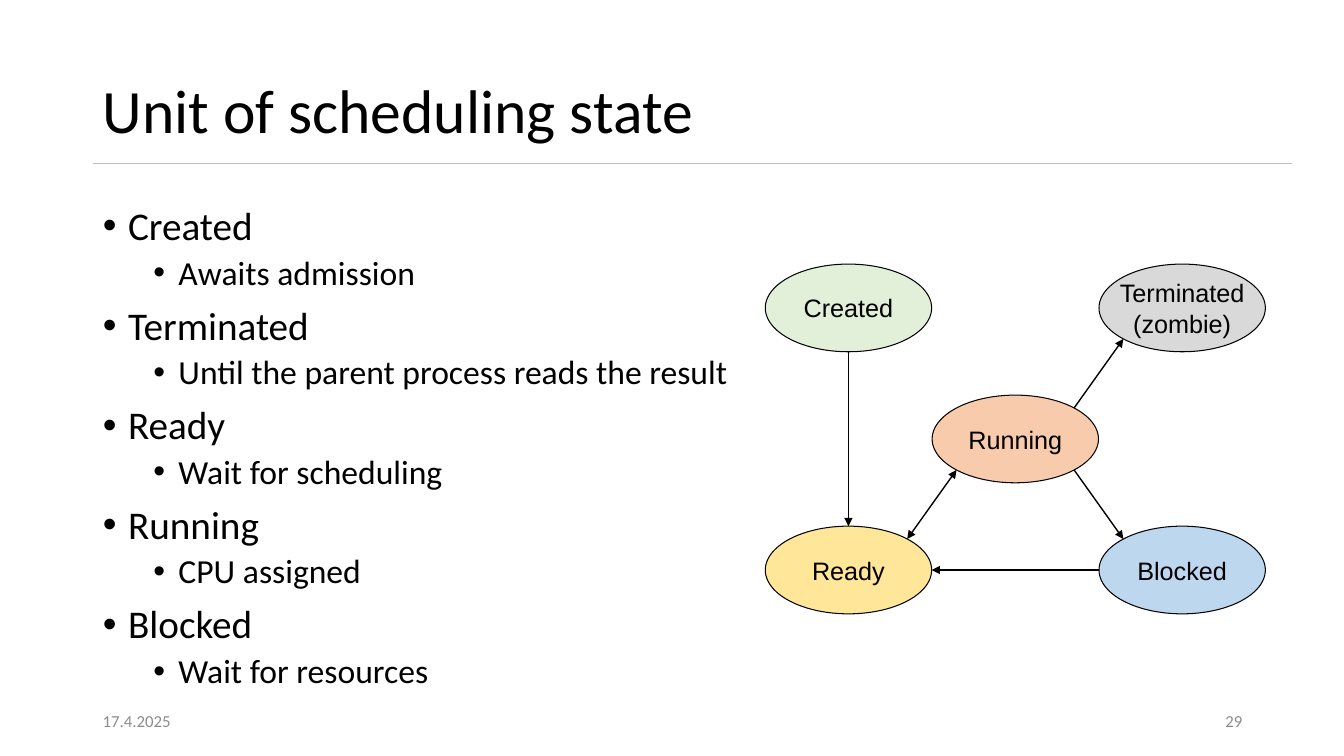
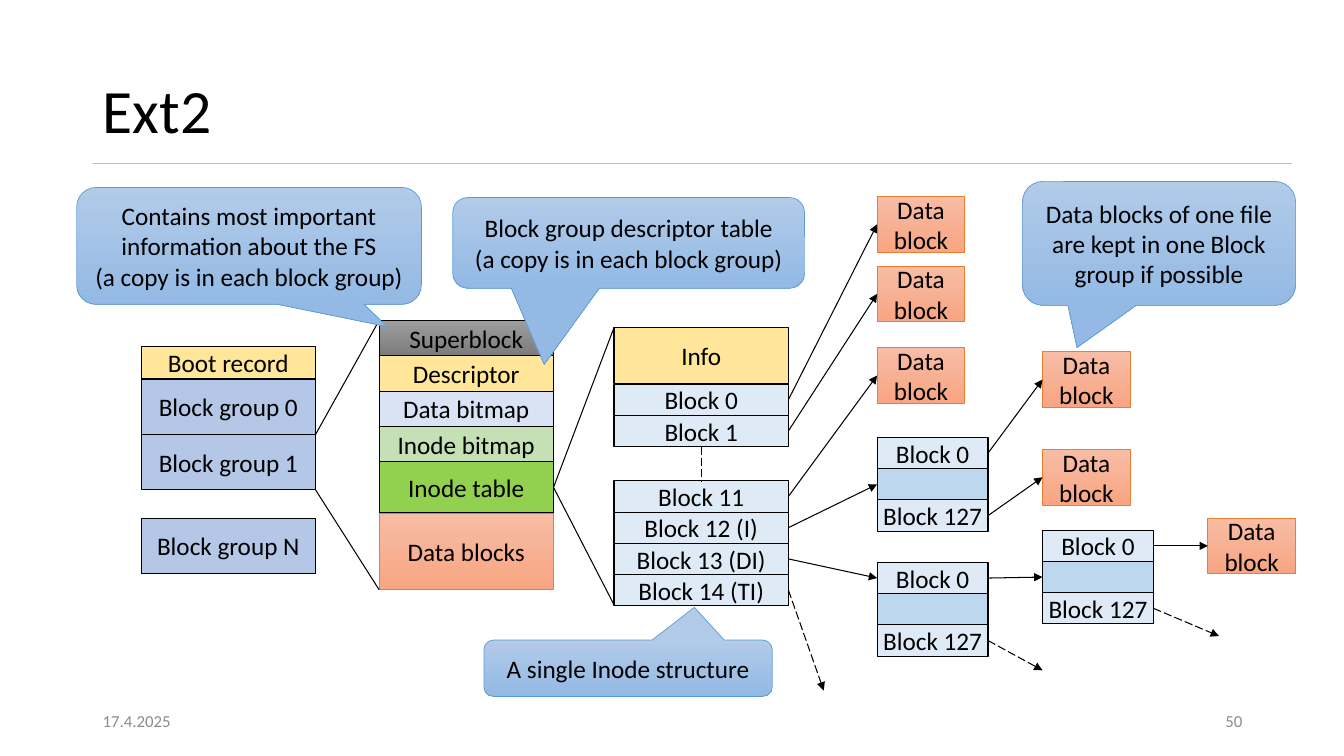
from dataclasses import dataclass
from math import sqrt
from typing import NamedTuple

from lxml.etree import SubElement
from pptx import Presentation
from pptx.dml.color import RGBColor
from pptx.enum.dml import MSO_LINE
from pptx.enum.shapes import MSO_CONNECTOR, MSO_SHAPE
from pptx.enum.text import MSO_ANCHOR, MSO_AUTO_SIZE, PP_ALIGN
from pptx.oxml.ns import qn
from pptx.shapes.autoshape import Shape
from pptx.slide import Slide
from pptx.util import Inches, Pt

BLACK = RGBColor(0x00, 0x00, 0x00)
FOOTER_GRAY = RGBColor(0x8C, 0x8C, 0x8C)
RULE_GRAY = RGBColor(0xBF, 0xBF, 0xBF)
LIGHT_GRAY = RGBColor(0xD9, 0xD9, 0xD9)
PALE_GREEN = RGBColor(0xE2, 0xF0, 0xD9)
SAGE = RGBColor(0xC5, 0xE0, 0xB4)
GREEN = RGBColor(0x92, 0xD0, 0x50)
YELLOW = RGBColor(0xFF, 0xE6, 0x99)
PEACH = RGBColor(0xF8, 0xCB, 0xAD)
PALE_BLUE = RGBColor(0xDE, 0xEB, 0xF7)
SKY_BLUE = RGBColor(0xBD, 0xD7, 0xEE)
LAVENDER = RGBColor(0xDA, 0xE3, 0xF3)
PERIWINKLE = RGBColor(0xB4, 0xC7, 0xE7)
ORANGE = RGBColor(0xED, 0x7D, 0x31)
ORANGE_TOP = RGBColor(0xF7, 0xBD, 0xA5)
ORANGE_BOTTOM = RGBColor(0xF8, 0xA5, 0x82)
GRAY_TOP = RGBColor(0x9D, 0x9D, 0x9D)
GRAY_BOTTOM = RGBColor(0x7C, 0x7C, 0x7C)
BLUE = RGBColor(0x5B, 0x9B, 0xD5)
BLUE_TOP = RGBColor(0xB1, 0xCB, 0xE9)
BLUE_BOTTOM = RGBColor(0x93, 0xB9, 0xE4)

BODY_FONT = "Calibri"
DIAGRAM_FONT = "Arial"
MARGIN = 0.92
DATE = "17.4.2025"

TOP, LEFT, BOTTOM, RIGHT = range(4)


@dataclass(frozen=True)
class Style:
    """Fill and outline; a second fill colour makes a vertical gradient."""
    fill: RGBColor
    fill_end: RGBColor | None = None
    line: RGBColor = BLACK
    line_width: float = 0.75


class Area(NamedTuple):
    left: float
    top: float
    width: float
    height: float


class Point(NamedTuple):
    x: float
    y: float


class Site(NamedTuple):
    """A side of a rectangle to which a connector is attached."""
    shape: Shape
    side: int


class Cell(NamedTuple):
    label: str
    height: float
    style: Style


class Callout(NamedTuple):
    text: str
    area: Area
    tip: tuple[float, float]


@dataclass(frozen=True)
class State:
    label: str
    column: int
    row: int
    color: RGBColor

    @property
    def area(self) -> Area:
        return Area(7.59 + 1.655 * self.column, 2.62 + 1.3 * self.row, 1.65, 0.87)

    def edge(self, dx: int, dy: int) -> Point:
        """Point on the ellipse in the direction (dx, dy)."""
        left, top, width, height = self.area
        reach = 0.5 / sqrt(dx * dx + dy * dy)
        return Point(left + width * (0.5 + dx * reach), top + height * (0.5 + dy * reach))


ORANGE_BLOCK = Style(ORANGE_TOP, ORANGE_BOTTOM, ORANGE, 0.5)
GRAY_BLOCK = Style(GRAY_TOP, GRAY_BOTTOM, line_width=0.5)
CALLOUT = Style(BLUE_TOP, BLUE_BOTTOM, BLUE, 0.5)
GROUP = Style(PERIWINKLE)
POINTER = Style(PALE_BLUE)


def place(shape: Shape, area: Area) -> None:
    shape.left, shape.top, shape.width, shape.height = map(Inches, area)


def add_block(slide: Slide, kind: MSO_SHAPE, area: Area, style: Style, label: str,
              font: str = BODY_FONT, wrap: bool = False) -> Shape:
    block = slide.shapes.add_shape(kind, *map(Inches, area))
    block.shadow.inherit = False
    if style.fill_end is None:
        block.fill.solid()
        block.fill.fore_color.rgb = style.fill
    else:
        block.fill.gradient()
        block.fill.gradient_angle = 270
        for stop, color in zip(block.fill.gradient_stops, (style.fill, style.fill_end)):
            stop.color.rgb = color
    block.line.color.rgb = style.line
    block.line.width = Pt(style.line_width)
    if label:
        frame = block.text_frame
        frame.word_wrap = wrap
        frame.vertical_anchor = MSO_ANCHOR.MIDDLE
        paragraph = frame.paragraphs[0]
        paragraph.text = label
        paragraph.alignment = PP_ALIGN.CENTER
        set_font(paragraph, 18, BLACK, font)
    return block


def set_font(paragraph, size: float, color: RGBColor, name: str = BODY_FONT) -> None:
    paragraph.font.name = name
    paragraph.font.size = Pt(size)
    paragraph.font.color.rgb = color


def link(slide: Slide, start: Point | Site, end: Point | Site, width: float = 0.75,
         color: RGBColor = BLACK, arrows: tuple[str, ...] = (), dashed: bool = False) -> None:
    """Straight line; arrows names its arrow ends, headEnd before tailEnd."""
    connector = slide.shapes.add_connector(MSO_CONNECTOR.STRAIGHT, 0, 0, 0, 0)
    if isinstance(start, Site):
        connector.begin_connect(*start)
    else:
        connector.begin_x, connector.begin_y = map(Inches, start)
    if isinstance(end, Site):
        connector.end_connect(*end)
    else:
        connector.end_x, connector.end_y = map(Inches, end)
    connector.line.color.rgb = color
    connector.line.width = Pt(width)
    if dashed:
        connector.line.dash_style = MSO_LINE.LONG_DASH
    properties = connector.element.spPr
    for arrow in arrows:
        SubElement(properties.find(qn("a:ln")), qn(f"a:{arrow}"), type="triangle")
    SubElement(properties, qn("a:effectLst"))


def add_footer(slide: Slide, left: float, text: str, alignment: PP_ALIGN) -> None:
    frame = slide.shapes.add_textbox(*map(Inches, (left, 6.95, 3, 0.4))).text_frame
    frame.word_wrap = True
    frame.vertical_anchor = MSO_ANCHOR.MIDDLE
    paragraph = frame.paragraphs[0]
    paragraph.text = text
    paragraph.alignment = alignment
    set_font(paragraph, 12, FOOTER_GRAY)


def start_slide(prs: Presentation, layout: int, title: str, number: int) -> Slide:
    """New slide with the shared title, rule and footers."""
    slide = prs.slides.add_slide(prs.slide_layouts[layout])
    heading = slide.shapes.title
    place(heading, Area(MARGIN, 0.4, 10.63, 1.45))
    heading.text_frame.vertical_anchor = MSO_ANCHOR.MIDDLE
    paragraph = heading.text_frame.paragraphs[0]
    paragraph.text = title
    paragraph.alignment = PP_ALIGN.LEFT
    paragraph.line_spacing = 0.9
    set_font(paragraph, 44, BLACK)
    link(slide, Point(MARGIN, 1.62), Point(12.81, 1.62), 1, RULE_GRAY)
    add_footer(slide, MARGIN, DATE, PP_ALIGN.LEFT)
    add_footer(slide, 9.42, str(number), PP_ALIGN.RIGHT)
    return slide


def fill_body(slide: Slide, items: list[tuple[int, str]]) -> None:
    body = slide.placeholders[1]
    place(body, Area(MARGIN, 2, 11.5, 4.95))
    frame = body.text_frame
    frame.auto_size = MSO_AUTO_SIZE.NONE
    for index, (level, text) in enumerate(items):
        paragraph = frame.add_paragraph() if index else frame.paragraphs[0]
        paragraph.text = text
        paragraph.level = level
        paragraph.line_spacing = 0.9
        paragraph.space_before = Pt((10, 5)[level] if index else 0)
        properties = paragraph._p.get_or_add_pPr()
        properties.set("marL", str(Inches((0.25, 0.75)[level])))
        properties.set("indent", str(Inches(-0.25)))
        SubElement(properties, qn("a:buFont"), typeface="Arial")
        SubElement(properties, qn("a:buChar"), char="•")
        set_font(paragraph, (28, 24)[level], BLACK)


def add_stack(slide: Slide, left: float, top: float, width: float,
              cells: list[Cell]) -> list[Shape]:
    """Cells one below another without gaps."""
    blocks = []
    for label, height, style in cells:
        area = Area(left, top, width, height)
        blocks.append(add_block(slide, MSO_SHAPE.RECTANGLE, area, style, label))
        top += height
    return blocks


def build_states(prs: Presentation) -> None:
    slide = start_slide(prs, 1, "Unit of scheduling state", 29)
    meanings = {
        "Created": "Awaits admission",
        "Terminated": "Until the parent process reads the result",
        "Ready": "Wait for scheduling",
        "Running": "CPU assigned",
        "Blocked": "Wait for resources",
    }
    fill_body(slide, [item for state, meaning in meanings.items()
                      for item in ((0, state), (1, meaning))])

    created = State("Created", 0, 0, PALE_GREEN)
    blocked = State("Blocked", 2, 2, SKY_BLUE)
    ready = State("Ready", 0, 2, YELLOW)
    running = State("Running", 1, 1, PEACH)
    terminated = State("Terminated\n(zombie)", 2, 0, LIGHT_GRAY)
    for state in (created, blocked, ready, running, terminated):
        add_block(slide, MSO_SHAPE.OVAL, state.area, Style(state.color), state.label,
                  DIAGRAM_FONT)
    one_way, both_ways = ("tailEnd",), ("headEnd", "tailEnd")
    for start, end, arrows in (
        (created.edge(0, 1), ready.edge(0, -1), one_way),
        (ready.edge(1, -1), running.edge(-1, 1), both_ways),
        (running.edge(1, -1), terminated.edge(-1, 1), one_way),
        (running.edge(1, 1), blocked.edge(-1, -1), one_way),
        (blocked.edge(-1, 0), ready.edge(1, 0), one_way),
    ):
        link(slide, start, end, 1, arrows=arrows)


def build_ext2(prs: Presentation) -> None:
    slide = start_slide(prs, 5, "Ext2", 50)
    width, row = 1.73, 0.31
    disk, group, inode = 1.4, 3.76, 6.09
    add_stack(slide, disk, 3.44, width, [
        Cell("Boot record", 0.32, Style(YELLOW)),
        Cell("Block group 0", 0.55, GROUP),
        Cell("Block group 1", 0.55, GROUP)])
    add_stack(slide, disk, 5.14, width, [Cell("Block group N", 0.55, GROUP)])
    inode_table = add_stack(slide, group, 3.18, width, [
        Cell("Superblock", 0.35, GRAY_BLOCK),
        Cell("Descriptor", 0.35, Style(YELLOW)),
        Cell("Data bitmap", 0.35, Style(LAVENDER)),
        Cell("Inode bitmap", 0.35, Style(SAGE)),
        Cell("Inode table", 0.51, Style(GREEN)),
        Cell("Data blocks", 0.76, ORANGE_BLOCK)])[4]
    _, block_0, block_1 = add_stack(slide, inode, 3.25, width, [
        Cell("Info", 0.56, Style(YELLOW)),
        Cell("Block 0", row, POINTER),
        Cell("Block 1", row, POINTER)])
    block_11, single, double, triple = add_stack(slide, inode, 4.77, width, [
        Cell(label, row, POINTER)
        for label in ("Block 11", "Block 12 (I)", "Block 13 (DI)", "Block 14 (TI)")])

    index_cells = [Cell("Block 0", row, POINTER), Cell("", row, Style(SKY_BLUE)),
                   Cell("Block 127", row, POINTER)]
    single_index, double_index, nested_index = (
        add_stack(slide, left, top, 1.1, index_cells)
        for left, top in ((8.7, 4.34), (8.7, 5.58), (10.34, 5.26)))
    data = [add_block(slide, MSO_SHAPE.RECTANGLE, Area(left, top, 0.87, 0.55),
                      ORANGE_BLOCK, "Data\nblock")
            for left, top in ((8.7, 1.95), (8.7, 2.64), (8.7, 3.45),
                              (10.34, 3.49), (10.34, 4.46), (11.98, 5.14))]

    for start, end in (
        (Point(disk + width, 4.31), Point(group, 3.18)),
        (Point(disk + width, 4.86), Point(group, 5.85)),
        (Site(inode_table, RIGHT), Point(inode, 3.25)),
        (Site(inode_table, RIGHT), Point(inode, 6)),
    ):
        link(slide, start, end)
    link(slide, Site(block_1, BOTTOM), Site(block_11, TOP), dashed=True)
    sources = (block_0, block_1, block_11, single_index[0], single_index[2],
               nested_index[0], single, double, double_index[0])
    targets = (*data, single_index[1], double_index[0], nested_index[1])
    for source, target in zip(sources, targets):
        link(slide, Site(source, RIGHT), Site(target, LEFT), arrows=("tailEnd",))
    for source, end in ((triple, Point(8.17, 6.85)),
                        (double_index[2], Point(10.34, 6.65)),
                        (nested_index[2], Point(12.09, 6.31))):
        link(slide, Site(source, RIGHT), end, arrows=("tailEnd",), dashed=True)

    for text, area, tip in (
        Callout("Contains most important information about the FS\n"
                "(a copy is in each block group)", Area(0.76, 1.86, 3.42, 1.16), (0.4, 0.69)),
        Callout("Block group descriptor table\n(a copy is in each block group)",
                Area(4.49, 1.96, 3.49, 0.9), (-0.24, 1.34)),
        Callout("A single Inode structure", Area(4.8, 6.35, 2.86, 0.56), (0.23, -1.08)),
        Callout("Data blocks of one file are kept in one Block group if possible",
                Area(10.14, 1.8, 2.71, 1.23), (-0.3, 0.84)),
    ):
        callout = add_block(slide, MSO_SHAPE.ROUNDED_RECTANGULAR_CALLOUT, area, CALLOUT,
                            text, wrap=True)
        callout.adjustments[0], callout.adjustments[1] = tip


def main() -> None:
    prs = Presentation()
    prs.slide_width, prs.slide_height = Inches(13.33), Inches(7.5)
    build_states(prs)
    build_ext2(prs)
    prs.save("out.pptx")


if __name__ == "__main__":
    main()
